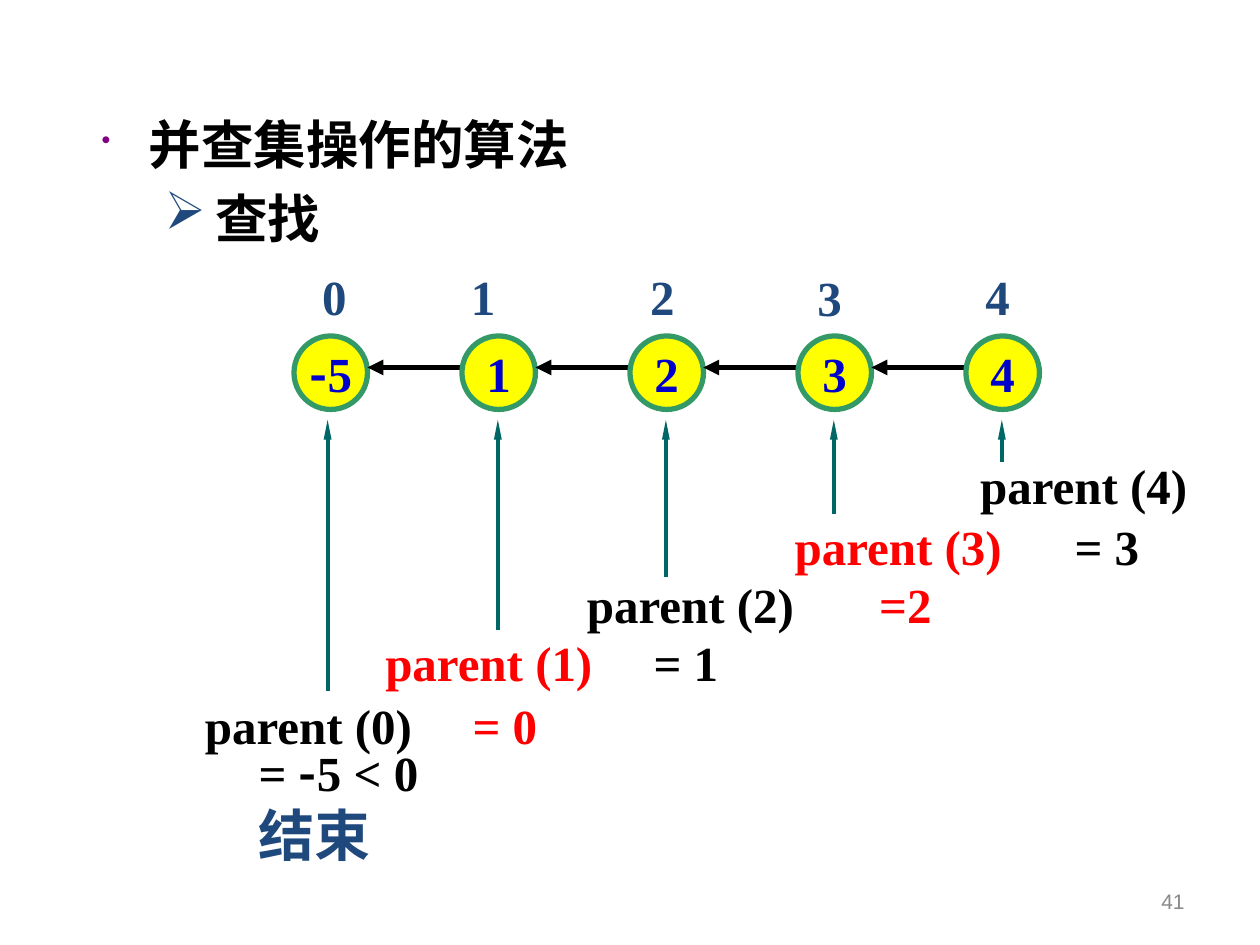
from dataclasses import dataclass
from typing import Optional

from lxml.etree import SubElement
from pptx import Presentation
from pptx.dml.color import RGBColor
from pptx.enum.shapes import MSO_CONNECTOR, MSO_SHAPE
from pptx.enum.text import MSO_ANCHOR, PP_ALIGN
from pptx.oxml.ns import qn
from pptx.util import Pt

BLACK = RGBColor(0x00, 0x00, 0x00)
RED = RGBColor(0xFF, 0x00, 0x00)
NAVY = RGBColor(0x1F, 0x49, 0x7D)
BLUE = RGBColor(0x00, 0x00, 0xCC)
YELLOW = RGBColor(0xFF, 0xFF, 0x00)
GREEN = RGBColor(0x33, 0x99, 0x66)
TEAL = RGBColor(0x00, 0x66, 0x66)
PURPLE = RGBColor(0x80, 0x00, 0x80)
GREY = RGBColor(0x89, 0x89, 0x89)

SERIF = "Times New Roman"
CJK = "Noto Sans CJK SC"

NODE_LEFT, NODE_TOP, NODE_SIZE, NODE_STEP = 168, 192, 42, 96
LINK_Y = 210
POINTER_TOP = 240


@dataclass(frozen=True)
class Node:
    value: str
    label_left: float
    label_top: float = 148.5


@dataclass(frozen=True)
class Step:
    call: str
    result: str
    color: RGBColor
    result_color: RGBColor
    left: float
    top: float
    width: float
    tab: float
    pointer_x: float
    pointer_bottom: float


NODES = [
    Node("-5", 177),
    Node("1", 262),
    Node("2", 364.4),
    Node("3", 460, 149.3),
    Node("4", 556),
]

STEPS = [
    Step("parent (4)", "", BLACK, BLACK, 553, 257, 134, 0, 572.5, 264),
    Step("parent (3)", "= 3", RED, BLACK, 447, 291.6, 220, 160, 476.5, 294),
    Step("parent (2)", "=2", BLACK, RED, 328.3, 324.7, 220, 167, 380.5, 330),
    Step("parent (1)", "= 1", RED, BLACK, 213.1, 357.8, 205, 153.3, 284.5, 360),
    Step("parent (0)", "= 0", BLACK, RED, 110, 393.8, 221, 153, 187.2, 394.8),
]


def write(para, text: str, *, size: float = 28, color: RGBColor = BLACK,
          font: str = SERIF, bold: bool = True) -> None:
    span = para.add_run()
    span.text = text
    span.font.size = Pt(size)
    span.font.bold = bold
    span.font.name = font
    span.font.color.rgb = color
    east_asian = SubElement(span.font._element, qn("a:ea"))
    east_asian.set("typeface", CJK)


def write_number(para, text: str, *, color: RGBColor) -> None:
    if text.startswith("-"):
        write(para, "-", color=color, font=CJK)
        text = text[1:]
    write(para, text, color=color)


def add_box(page, left: float, top: float, width: float, height: float):
    box = page.shapes.add_textbox(Pt(left), Pt(top), Pt(width), Pt(height))
    box.text_frame.word_wrap = True
    return box.text_frame


def set_bullet(para, symbol: str, color: RGBColor, margin: float,
               hanging: float, percent: int = 100) -> None:
    properties = para._p.get_or_add_pPr()
    properties.set("marL", str(Pt(margin)))
    properties.set("indent", str(-Pt(hanging)))
    bullet_color = SubElement(properties, qn("a:buClr"))
    SubElement(bullet_color, qn("a:srgbClr")).set("val", str(color))
    SubElement(properties, qn("a:buSzPct")).set("val", str(percent * 1000))
    SubElement(properties, qn("a:buChar")).set("char", symbol)


def set_tab(para, position: float) -> None:
    tabs = SubElement(para._p.get_or_add_pPr(), qn("a:tabLst"))
    tab = SubElement(tabs, qn("a:tab"))
    tab.set("pos", str(Pt(position)))
    tab.set("algn", "l")


def add_arrow(page, start: tuple[float, float], end: tuple[float, float], *,
              color: RGBColor, weight: float, head_width: str = "med",
              head_length: str = "med") -> None:
    arrow = page.shapes.add_connector(
        MSO_CONNECTOR.STRAIGHT, *(Pt(value) for value in start + end))
    arrow.line.color.rgb = color
    arrow.line.width = Pt(weight)
    head = SubElement(arrow.line._get_or_add_ln(), qn("a:tailEnd"))
    head.set("type", "triangle")
    head.set("w", head_width)
    head.set("len", head_length)
    SubElement(arrow._element.spPr, qn("a:effectLst"))


def add_heading(page) -> None:
    frame = add_box(page, 51, 60.5, 612, 324)
    title = frame.paragraphs[0]
    set_bullet(title, "•", PURPLE, 27, 27, 50)
    write(title, "并查集操作的算法", size=30, font="Calibri")
    topic = frame.add_paragraph()
    set_bullet(topic, "➢", NAVY, 65, 29)
    topic.space_before = Pt(6)
    write(topic, "查找", size=30, font="Calibri")


def add_node(page, index: int, node: Node) -> None:
    left = NODE_LEFT + index * NODE_STEP
    circle = page.shapes.add_shape(
        MSO_SHAPE.OVAL, Pt(left), Pt(NODE_TOP), Pt(NODE_SIZE), Pt(NODE_SIZE))
    circle.shadow.inherit = False
    circle.fill.solid()
    circle.fill.fore_color.rgb = YELLOW
    circle.line.color.rgb = GREEN
    circle.line.width = Pt(3)
    frame = circle.text_frame
    frame.word_wrap = False
    frame.vertical_anchor = MSO_ANCHOR.MIDDLE
    para = frame.paragraphs[0]
    para.alignment = PP_ALIGN.CENTER
    write_number(para, node.value, color=BLUE)
    label = add_box(page, node.label_left, node.label_top, 28.4, 41)
    write(label.paragraphs[0], str(index), color=NAVY)
    if index < len(NODES) - 1:
        add_arrow(page, (left + NODE_STEP, LINK_Y), (left + NODE_SIZE, LINK_Y),
                  color=BLACK, weight=3)


def add_step(page, step: Step) -> None:
    add_arrow(page, (step.pointer_x, step.pointer_bottom),
              (step.pointer_x, POINTER_TOP), color=TEAL, weight=2.25,
              head_width="sm", head_length="lg")
    para = add_box(page, step.left, step.top, step.width, 41).paragraphs[0]
    write(para, step.call, color=step.color)
    if step.result:
        set_tab(para, step.tab)
        write(para, "\t" + step.result, color=step.result_color)


def add_ending(page, closing: Optional[str] = "结束") -> None:
    frame = add_box(page, 140.8, 420.5, 128, 94)
    comparison = frame.paragraphs[0]
    write(comparison, "= ")
    write_number(comparison, "-5 < 0", color=BLACK)
    write(frame.add_paragraph(), closing, size=32, color=NAVY)


def add_page_number(page) -> None:
    frame = add_box(page, 516, 500.5, 168, 28.8)
    frame.vertical_anchor = MSO_ANCHOR.MIDDLE
    para = frame.paragraphs[0]
    para.alignment = PP_ALIGN.RIGHT
    write(para, "41", size=12, color=GREY, font="Arial", bold=False)


def main() -> None:
    deck = Presentation()
    deck.slide_width, deck.slide_height = Pt(720), Pt(540)
    page = deck.slides.add_slide(deck.slide_layouts[6])
    add_heading(page)
    add_page_number(page)
    for index, node in enumerate(NODES):
        add_node(page, index, node)
    for step in STEPS:
        add_step(page, step)
    add_ending(page)
    deck.save("out.pptx")


if __name__ == "__main__":
    main()
